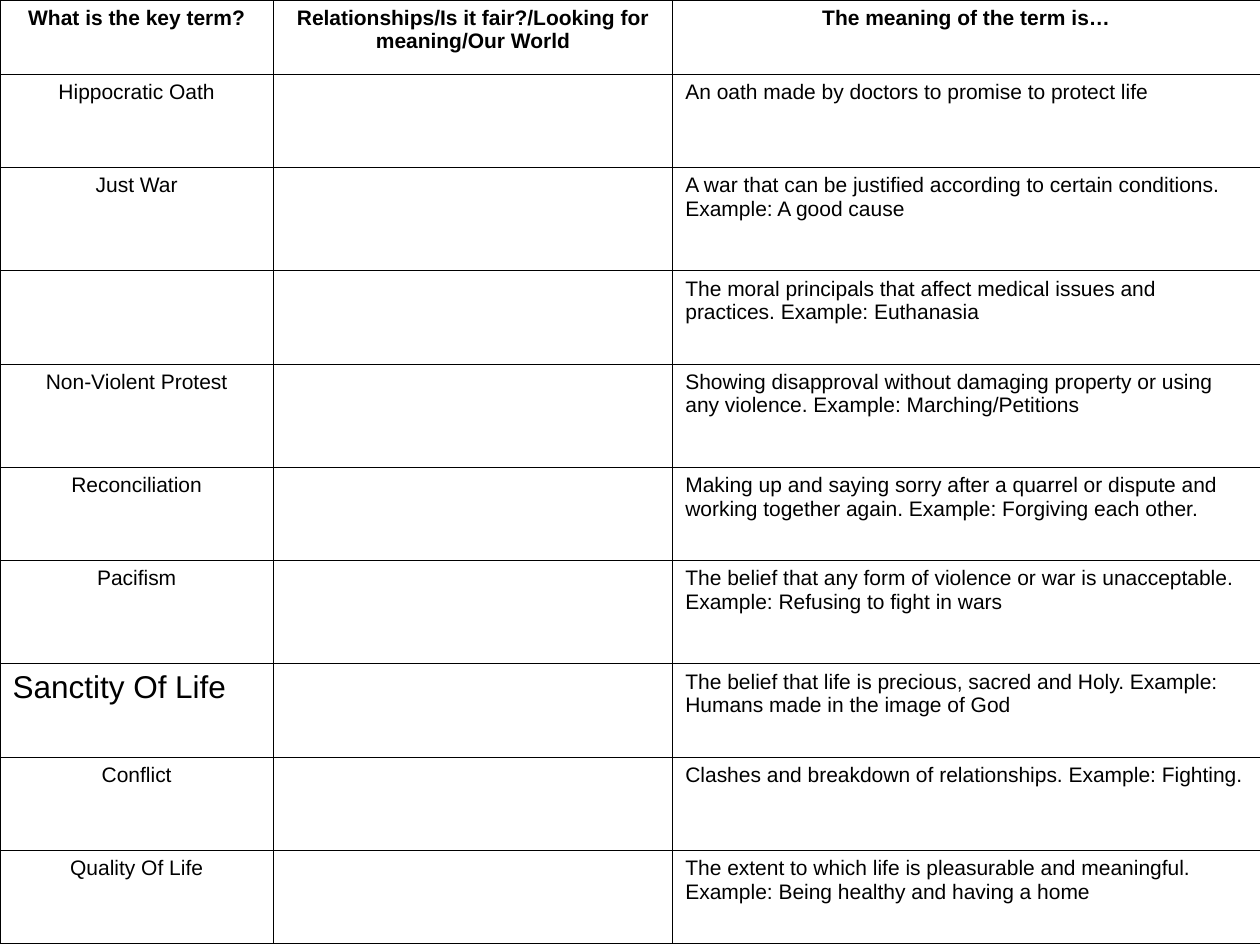
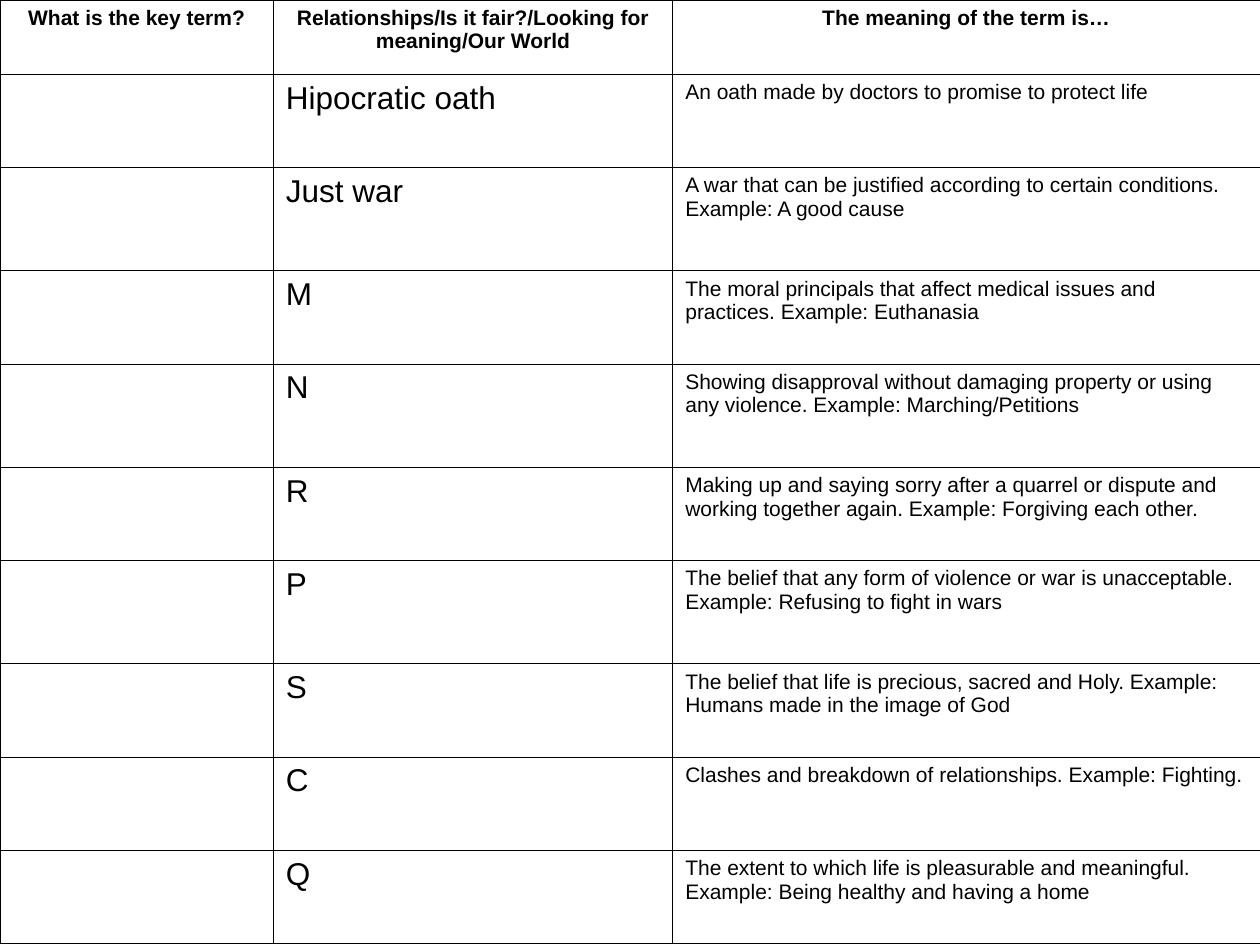
from lxml.etree import SubElement
from pptx import Presentation
from pptx.dml.color import RGBColor
from pptx.enum.text import PP_ALIGN as Align
from pptx.oxml.ns import qn
from pptx.util import Inches, Pt

INK = "000000"
COLS = (2.17, 3.17, 4.66)
ROWS = (0.59, 0.74, 0.82, 0.74, 0.82, 0.74, 0.82, 0.74, 0.74, 0.74)
HEADS = ("What is the key term?",
         "Relationships/Is it fair?/Looking for meaning/Our World",
         "The meaning of the term is…")
MEANINGS = (
    "An oath made by doctors to promise to protect life",
    "A war that can be justified according to certain conditions. "
    "Example: A good cause",
    "The moral principals that affect medical issues and practices. "
    "Example: Euthanasia",
    "Showing disapproval without damaging property or using any violence. "
    "Example: Marching/Petitions",
    "Making up and saying sorry after a quarrel or dispute and working "
    "together again. Example: Forgiving each other.",
    "The belief that any form of violence or war is unacceptable. "
    "Example: Refusing to fight in wars",
    "The belief that life is precious, sacred and Holy. "
    "Example: Humans made in the image of God",
    "Clashes and breakdown of relationships. Example: Fighting.",
    "The extent to which life is pleasurable and meaningful. "
    "Example: Being healthy and having a home",
)
TERMS = ("Hippocratic Oath", "Just War", "", "Non-Violent Protest",
         "Reconciliation", "Pacifism", "Sanctity Of Life", "Conflict",
         "Quality Of Life")
HINTS = ("Hipocratic oath", "Just war", *"MNRPSCQ")
BLANK = ("",) * len(MEANINGS)

# Text styles: size, bold, alignment
HEAD = (12, True, Align.CENTER)
TERM = (12, False, Align.CENTER)
BODY = (12, False, Align.LEFT)
LARGE = (18, False, Align.LEFT)


def color(code):
    return RGBColor.from_string(code)


def outline(cell):
    """Draw a thin line on all four sides of a cell."""
    props = cell._tc.get_or_add_tcPr()
    for i, side in enumerate(("lnL", "lnR", "lnT", "lnB")):
        line = props.makeelement(qn(f"a:{side}"), {"w": str(Pt(0.45))})
        fill = SubElement(line, qn("a:solidFill"))
        SubElement(fill, qn("a:srgbClr"), val=INK)
        props.insert(i, line)


def fill_cell(cell, text, style):
    size, bold, align = style
    cell.fill.background()
    outline(cell)
    cell.text = text
    para = cell.text_frame.paragraphs[0]
    para.alignment = align
    look = {"name": "Arial", "size": Pt(size), "bold": bold}
    for key, value in look.items():
        setattr(para.font, key, value)
    para.font.color.rgb = color(INK)


def add_grid(slide, box, rows):
    """Place the term table; each row holds (text, style) pairs."""
    frame = slide.shapes.add_table(len(ROWS), len(COLS), *map(Inches, box))
    table = frame.table
    table.first_row = table.horz_banding = False
    for col, width in zip(table.columns, COLS):
        col.width = Inches(width)
    for row, height, items in zip(table.rows, ROWS, rows):
        row.height = Inches(height)
        for cell, (text, style) in zip(row.cells, items):
            fill_cell(cell, text, style)


def term_slide(deck, terms, hints):
    slide = deck.slides.add_slide(deck.slide_layouts[6])
    rows = [[(head, HEAD) for head in HEADS]]
    for term, hint, meaning in zip(terms, hints, MEANINGS):
        style = LARGE if term in ("", "Sanctity Of Life") else TERM
        rows.append([(term, style), (hint, LARGE), (meaning, BODY)])
    add_grid(slide, (0, 0, sum(COLS), sum(ROWS)), rows)


def main():
    deck = Presentation()
    deck.slide_width, deck.slide_height = Inches(10), Inches(7.5)
    term_slide(deck, TERMS, BLANK)
    term_slide(deck, BLANK, HINTS)
    deck.save("out.pptx")


if __name__ == "__main__":
    main()
